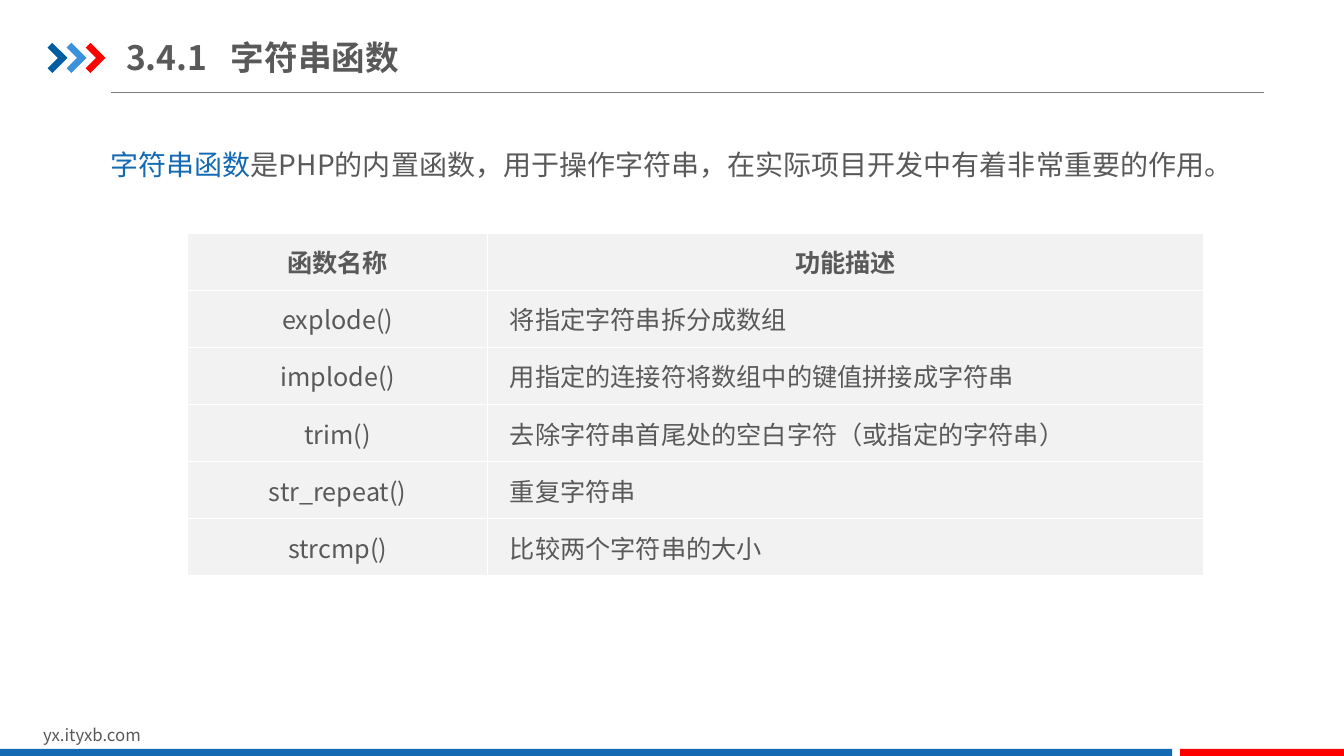
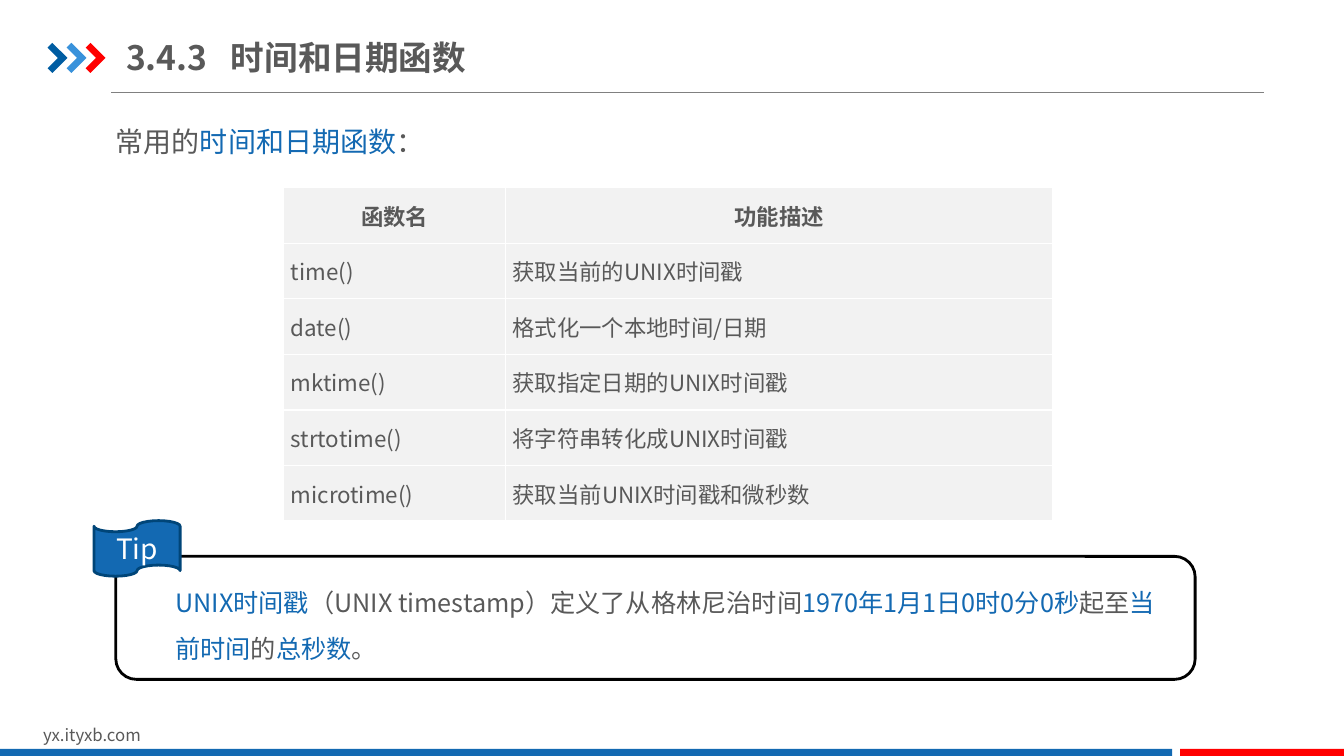
import dataclasses

import lxml.etree
import pptx
import pptx.dml.color
import pptx.enum.shapes
import pptx.enum.text
import pptx.oxml.ns
import pptx.util

Cm = pptx.util.Cm
Pt = pptx.util.Pt
Shape = pptx.enum.shapes.MSO_SHAPE
Align = pptx.enum.text.PP_ALIGN
Mid = pptx.enum.text.MSO_ANCHOR.MIDDLE
Grow = pptx.enum.text.MSO_AUTO_SIZE.SHAPE_TO_FIT_TEXT
qn = pptx.oxml.ns.qn


@dataclasses.dataclass(frozen=True)
class Theme:
    font: str = "Noto Sans CJK SC"
    text: str = "595959"
    blue: str = "1369B2"
    navy: str = "005DA2"
    sky: str = "3992DB"
    red: str = "FF0000"
    edge: str = "004578"
    rule: str = "808080"
    cell: str = "F2F2F2"
    white: str = "FFFFFF"
    black: str = "000000"
    title: int = 24
    lead: int = 20
    body: int = 18
    small: int = 16
    foot: int = 12


T = Theme()
WIDE, HIGH = 33.87, 19.05


def put(item, vals):
    for name, val in vals.items():
        setattr(item, name, val)


def rgb(code):
    return pptx.dml.color.RGBColor.from_string(code)


def cms(box):
    return [Cm(val) for val in box]


def write(para, runs, size, bold=False):
    for text, tone in runs:
        run = para.add_run()
        run.text = text
        put(run.font, {"name": T.font, "size": Pt(size), "bold": bold})
        run.font.color.rgb = rgb(tone)
        east = lxml.etree.SubElement(run.font._element, qn("a:ea"))
        east.set("typeface", T.font)


def label(slide, box, runs, size, bold=False, frame=None, para=None):
    area = slide.shapes.add_textbox(*cms(box)).text_frame
    put(area, {"word_wrap": True, **(frame or {"auto_size": Grow})})
    first = area.paragraphs[0]
    put(first, para or {})
    write(first, runs, size, bold)
    return first


def paint(shape, fill=None, edge=None, width=2):
    shape.shadow.inherit = False
    if fill:
        shape.fill.solid()
        shape.fill.fore_color.rgb = rgb(fill)
    else:
        shape.fill.background()
    if edge:
        shape.line.color.rgb = rgb(edge)
        shape.line.width = Pt(width)
    else:
        shape.line.fill.background()
    return shape


def block(slide, kind, box, **look):
    return paint(slide.shapes.add_shape(kind, *cms(box)), **look)


def arrows(slide, box):
    left, top, width, height = box
    mid, slant, step = height / 2, 0.12, 0.48
    outline = [(0, slant), (slant, 0), (width, mid), (slant, height),
               (0, height - slant), (width - 2 * slant, mid)]
    for num, tone in enumerate((T.navy, T.sky, T.red)):
        spots = [(Cm(left + num * step + x), Cm(top + y)) for x, y in outline]
        pen = slide.shapes.build_freeform(*spots[0], scale=1.0)
        pen.add_line_segments(spots[1:], close=True)
        paint(pen.convert_to_shape(), fill=tone)


def header(slide, box, number, name):
    left, top, width, height = box
    arrows(slide, (left, top + 0.35, 0.5, 0.76))
    rule = slide.shapes.add_connector(
        pptx.enum.shapes.MSO_CONNECTOR.STRAIGHT,
        *cms((left + 1.6, top + height, left + width, top + height)))
    rule.line.color.rgb = rgb(T.rule)
    rule.line.width = Pt(0.75)
    lxml.etree.SubElement(rule._element.spPr, qn("a:effectLst"))
    frame = {"vertical_anchor": Mid, "margin_left": 0, "margin_right": 0,
             "margin_top": Cm(0.18), "margin_bottom": Cm(0.18)}
    para = label(slide, (left + 1.98, top, 10.82, 1.4), [], T.title, frame=frame)
    tabs = lxml.etree.SubElement(para._p.get_or_add_pPr(), qn("a:tabLst"))
    stop = lxml.etree.SubElement(tabs, qn("a:tab"))
    stop.set("pos", str(Cm(2.64)))
    stop.set("algn", "l")
    write(para, [(f"{number}\t{name}", T.text)], T.title, True)


def footer(slide, box):
    left, top, width, height = box
    bar, gap, end = 0.22, 0.2, 4.13
    label(slide, (left + 0.84, top, 8.08, 0.76), [("yx.ityxb.com", T.text)], T.foot)
    base = top + height - bar
    block(slide, Shape.RECTANGLE, (left, base, width - end - gap, bar), fill=T.blue)
    block(slide, Shape.RECTANGLE, (left + width - end, base, end, bar), fill=T.red)


def border(cell):
    props = cell._tc.get_or_add_tcPr()
    for side in ("lnL", "lnR", "lnT", "lnB"):
        line = lxml.etree.SubElement(props, qn(f"a:{side}"), w=str(Pt(1)))
        fill = lxml.etree.SubElement(line, qn("a:solidFill"))
        lxml.etree.SubElement(fill, qn("a:srgbClr"), val=T.white)


def table(slide, box, split, rows, size, first=Align.LEFT, inset=0.18):
    left, top, width, height = box
    grid = slide.shapes.add_table(len(rows), 2, *cms(box)).table
    put(grid, {"first_row": False, "horz_banding": False})
    for col, span in zip(grid.columns, (split, width - split)):
        col.width = Cm(span)
    for y, row in enumerate(rows):
        grid.rows[y].height = Cm(height / len(rows))
        for x, text in enumerate(row):
            cell = grid.cell(y, x)
            pad = inset if x and y else 0.18
            put(cell, {"vertical_anchor": Mid, "margin_left": Cm(pad),
                       "margin_right": Cm(0.18), "margin_top": 0,
                       "margin_bottom": 0})
            border(cell)
            cell.fill.solid()
            cell.fill.fore_color.rgb = rgb(T.cell)
            para = cell.text_frame.paragraphs[0]
            para.alignment = (first, Align.JUSTIFY)[x] if y else Align.CENTER
            write(para, [(text, T.text)], size, bold=y == 0)


def tip(slide, box, runs):
    left, top, width, height = box
    label(slide, (left + 1.25, top + 0.28, width - 1.83, 2.57), runs, T.body,
          para={"line_spacing": 1.5})
    block(slide, Shape.ROUNDED_RECTANGLE, box, edge=T.black)
    flag = block(slide, Shape.FLOWCHART_PUNCHED_TAPE,
                 (left - 0.55, top - 0.9, 2.17, 1.4), fill=T.blue, edge=T.edge)
    flag.text_frame.vertical_anchor = Mid
    para = flag.text_frame.paragraphs[0]
    para.alignment = Align.CENTER
    write(para, [("Tip", T.white)], T.lead)


def page(deck, number, name):
    slide = deck.slides.add_slide(deck.slide_layouts[6])
    header(slide, (1.2, 0.73, 30.65, 1.59), number, name)
    footer(slide, (0, 18.13, WIDE, 0.96))
    return slide


def strings(deck):
    slide = page(deck, "3.4.1", "字符串函数")
    label(slide, (2.54, 3.6, 28.8, 1.11), [
        ("字符串函数", T.blue),
        ("是PHP的内置函数，用于操作字符串，在实际项目开发中有着非常重要的作用。", T.text),
    ], T.lead)
    table(slide, (4.73, 5.87, 25.6, 8.65), 7.56, [
        ("函数名称", "功能描述"),
        ("explode()", "将指定字符串拆分成数组"),
        ("implode()", "用指定的连接符将数组中的键值拼接成字符串"),
        ("trim()", "去除字符串首尾处的空白字符（或指定的字符串）"),
        ("str_repeat()", "重复字符串"),
        ("strcmp()", "比较两个字符串的大小"),
    ], T.body, Align.CENTER, 0.56)


def times(deck):
    slide = page(deck, "3.4.3", "时间和日期函数")
    label(slide, (2.67, 3.02, 26.47, 1.11), [
        ("常用的", T.text), ("时间和日期函数", T.blue), ("：", T.text),
    ], T.lead)
    table(slide, (7.15, 4.73, 19.38, 8.4), 5.59, [
        ("函数名", "功能描述"),
        ("time()", "获取当前的UNIX时间戳"),
        ("date()", "格式化一个本地时间/日期"),
        ("mktime()", "获取指定日期的UNIX时间戳"),
        ("strtotime()", "将字符串转化成UNIX时间戳"),
        ("microtime()", "获取当前UNIX时间戳和微秒数"),
    ], T.small)
    tip(slide, (2.92, 14.02, 27.2, 3.1), [
        ("UNIX时间戳", T.blue),
        ("（UNIX timestamp）定义了从格林尼治时间", T.text),
        ("1970年1月1日0时0分0秒", T.blue),
        ("起至", T.text), ("当前时间", T.blue),
        ("的", T.text), ("总秒数", T.blue), ("。", T.text),
    ])


def main():
    deck = pptx.Presentation()
    put(deck, {"slide_width": Cm(WIDE), "slide_height": Cm(HIGH)})
    strings(deck)
    times(deck)
    deck.save("out.pptx")


if __name__ == "__main__":
    main()
